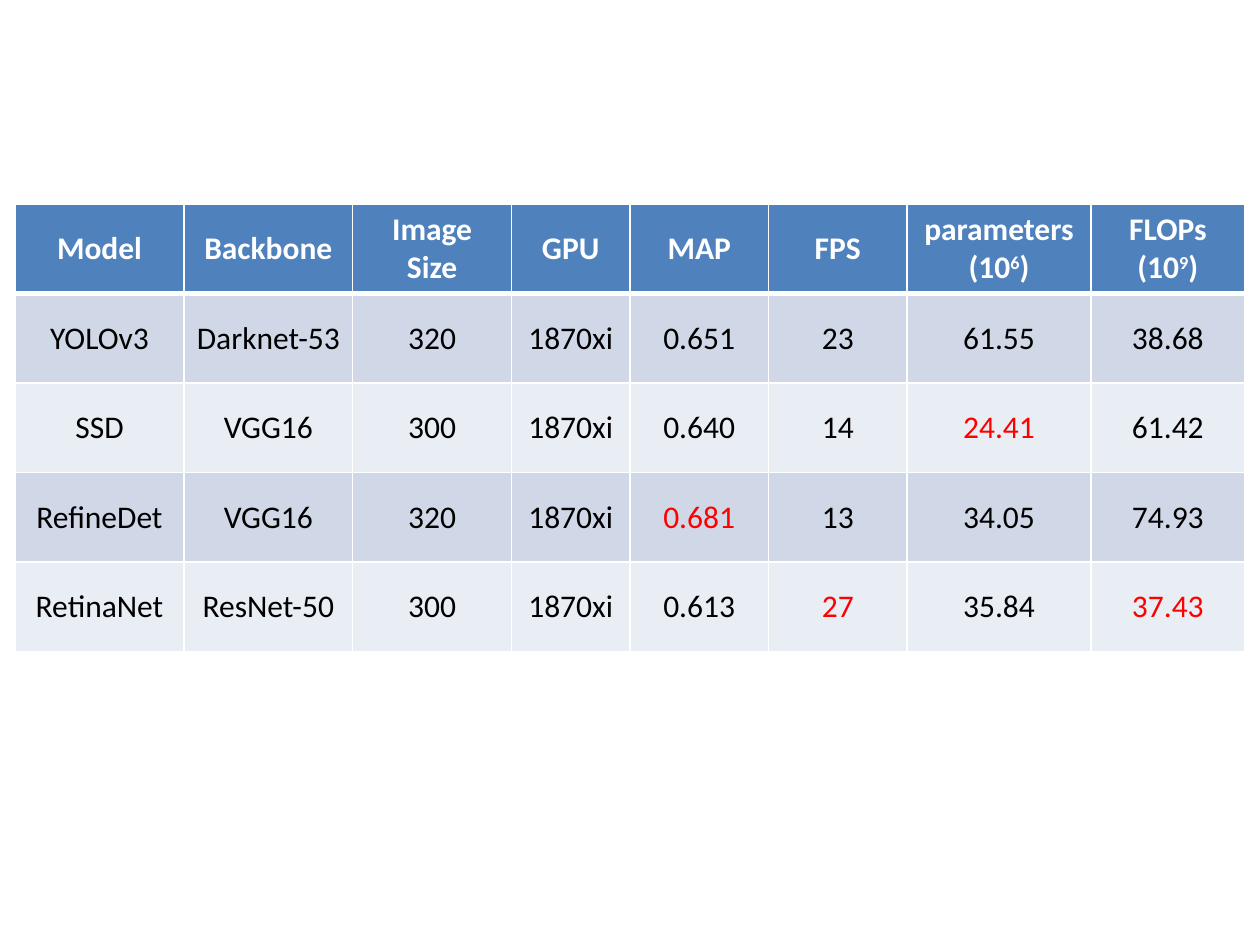
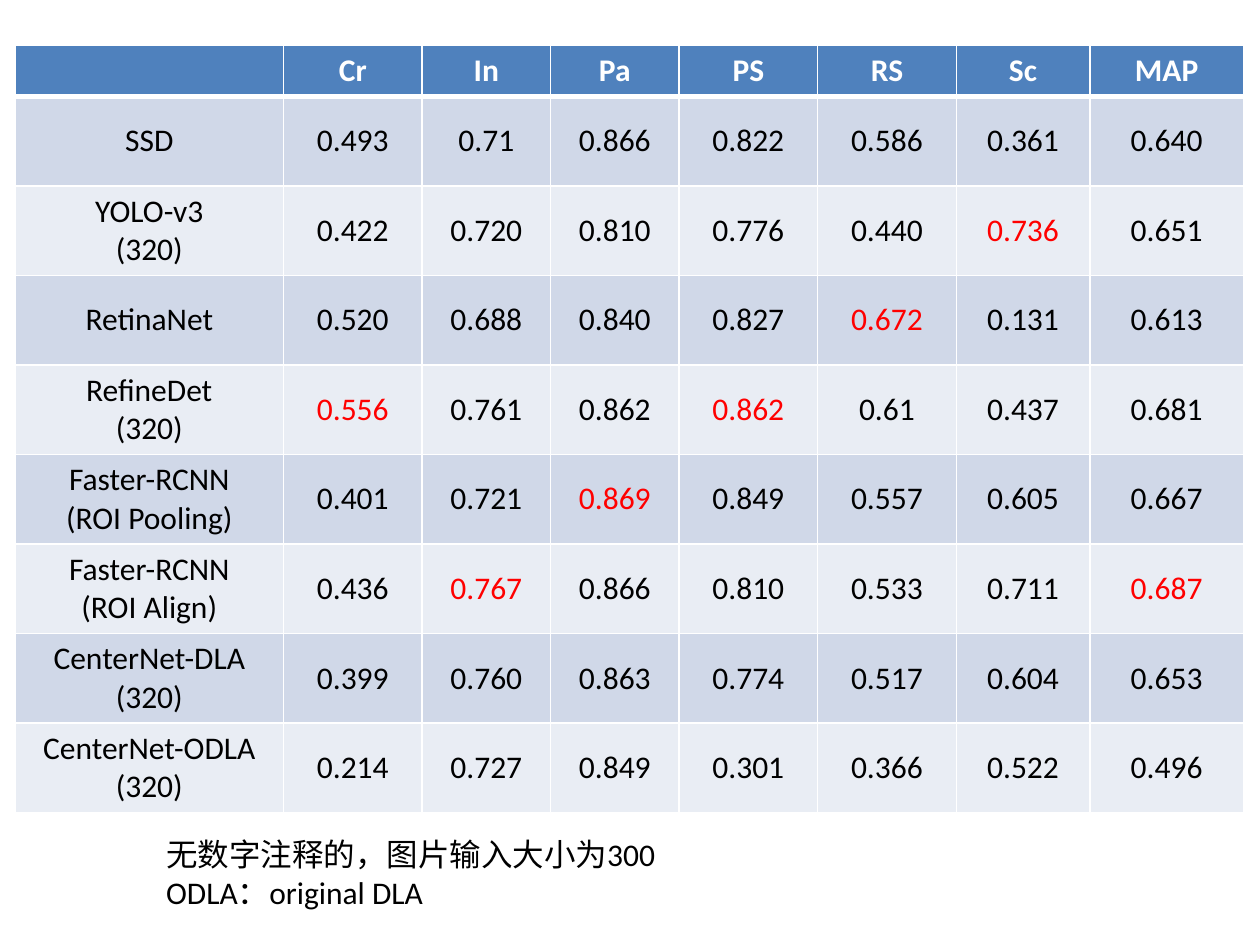
from dataclasses import dataclass

from lxml import etree
from pptx import Presentation
from pptx.dml.color import RGBColor
from pptx.enum.text import MSO_ANCHOR, PP_ALIGN
from pptx.oxml.ns import qn
from pptx.util import Inches, Pt

CENTER = PP_ALIGN.CENTER
MIDDLE = MSO_ANCHOR.MIDDLE


@dataclass(frozen=True)
class Theme:
    """Colours, type and measures shared by the slides."""
    font: str = "Calibri"
    size: float = 18
    text: str = "000000"
    header_text: str = "FFFFFF"
    best_text: str = "FF0000"
    header_fill: str = "4F81BD"
    band_fills: tuple = ("D0D8E8", "E9EDF4")
    border: str = "FFFFFF"
    thin: float = 1
    thick: float = 3
    table_left: float = 0.12
    row_height: float = 0.71
    header_inset: float = 0.11
    inset: float = 0.05


class Deck:
    """Draws styled elements on the current slide."""

    def __init__(self, theme):
        self.theme = theme
        self.presentation = Presentation()
        self.presentation.slide_width = Inches(10)
        self.presentation.slide_height = Inches(7.5)
        self.slide = None

    def add_slide(self):
        """Start a blank slide."""
        self.slide = self.presentation.slides.add_slide(self.presentation.slide_layouts[6])

    def format_run(self, run, color, bold=False):
        """Apply the shared type style to a run."""
        run.font.name = self.theme.font
        run.font.size = Pt(self.theme.size)
        run.font.bold = bold
        run.font.color.rgb = RGBColor.from_string(color)

    def add_borders(self, cell, top, bottom):
        """Draw the four borders of a cell."""
        thin = self.theme.thin
        properties = cell._tc.get_or_add_tcPr()
        for side, width in (("L", thin), ("R", thin), ("T", top), ("B", bottom)):
            line = etree.SubElement(properties, qn(f"a:ln{side}"), w=str(Pt(width)))
            fill = etree.SubElement(line, qn("a:solidFill"))
            etree.SubElement(fill, qn("a:srgbClr"), val=self.theme.border)

    def fill_cell(self, cell, text, row, best):
        """Write and style a cell; text between carets is superscript."""
        theme = self.theme
        header = row == 0
        self.add_borders(cell, theme.thick if row == 1 else theme.thin,
                         theme.thick if header else theme.thin)
        cell.fill.solid()
        cell.fill.fore_color.rgb = RGBColor.from_string(
            theme.header_fill if header else theme.band_fills[(row - 1) % 2])
        cell.vertical_anchor = MIDDLE
        cell.margin_left = cell.margin_right = Inches(theme.header_inset if header else theme.inset)
        cell.margin_top = cell.margin_bottom = Inches(theme.inset)
        color = theme.header_text if header else theme.best_text if best else theme.text
        for index, line in enumerate(text.split("\n")):
            paragraph = cell.text_frame.add_paragraph() if index else cell.text_frame.paragraphs[0]
            paragraph.alignment = CENTER
            for part, piece in enumerate(line.split("^")):
                if piece:
                    run = paragraph.add_run()
                    run.text = piece
                    self.format_run(run, color, header)
                    if part % 2:
                        run.font._element.set("baseline", "30000")

    def add_table(self, top, header_height, widths, rows, best_rules):
        """Add a banded table and mark the best value of each ruled column."""
        theme = self.theme
        heights = [header_height] + [theme.row_height] * (len(rows) - 1)
        table = self.slide.shapes.add_table(
            len(rows), len(widths), Inches(theme.table_left), Inches(top),
            Inches(sum(widths)), Inches(sum(heights))).table
        table.horz_banding = False
        for column, width in zip(table.columns, widths):
            column.width = Inches(width)
        for table_row, height in zip(table.rows, heights):
            table_row.height = Inches(height)
        best_values = {column: rule((row[column] for row in rows[1:]), key=float)
                       for column, rule in best_rules.items()}
        for row, values in enumerate(rows):
            for column, value in enumerate(values):
                self.fill_cell(table.cell(row, column), value, row,
                               value == best_values.get(column))

    def add_note(self, left, top, width, height, text):
        """Add a left-aligned text box."""
        frame = self.slide.shapes.add_textbox(
            Inches(left), Inches(top), Inches(width), Inches(height)).text_frame
        frame.word_wrap = True
        frame.text = text
        for paragraph in frame.paragraphs:
            for run in paragraph.runs:
                self.format_run(run, self.theme.text)


MODEL_WIDTHS = [1.34, 1.34, 1.26, 0.94, 1.1, 1.1, 1.46, 1.22]
MODEL_ROWS = [
    ["Model", "Backbone", "Image Size", "GPU", "MAP", "FPS",
     "parameters (10^6^)", "FLOPs (10^9^)"],
    ["YOLOv3", "Darknet-53", "320", "1870xi", "0.651", "23", "61.55", "38.68"],
    ["SSD", "VGG16", "300", "1870xi", "0.640", "14", "24.41", "61.42"],
    ["RefineDet", "VGG16", "320", "1870xi", "0.681", "13", "34.05", "74.93"],
    ["RetinaNet", "ResNet-50", "300", "1870xi", "0.613", "27", "35.84", "37.43"],
]

DEFECT_WIDTHS = [2.13, 1.1, 1.02, 1.02, 1.1, 1.1, 1.06, 1.22]
DEFECT_ROWS = [
    ["", "Cr", "In", "Pa", "PS", "RS", "Sc", "MAP"],
    ["SSD", "0.493", "0.71", "0.866", "0.822", "0.586", "0.361", "0.640"],
    ["YOLO-v3\n(320)", "0.422", "0.720", "0.810", "0.776", "0.440", "0.736", "0.651"],
    ["RetinaNet", "0.520", "0.688", "0.840", "0.827", "0.672", "0.131", "0.613"],
    ["RefineDet\n(320)", "0.556", "0.761", "0.862", "0.862", "0.61", "0.437", "0.681"],
    ["Faster-RCNN\n(ROI Pooling)", "0.401", "0.721", "0.869", "0.849", "0.557", "0.605", "0.667"],
    ["Faster-RCNN\n(ROI Align)", "0.436", "0.767", "0.866", "0.810", "0.533", "0.711", "0.687"],
    ["CenterNet-DLA\n(320)", "0.399", "0.760", "0.863", "0.774", "0.517", "0.604", "0.653"],
    ["CenterNet-ODLA\n(320)", "0.214", "0.727", "0.849", "0.301", "0.366", "0.522", "0.496"],
]


def main():
    """Build both slides and save the deck."""
    deck = Deck(Theme())
    deck.add_slide()
    deck.add_table(1.62, deck.theme.row_height, MODEL_WIDTHS, MODEL_ROWS,
                   {4: max, 5: max, 6: min, 7: min})
    deck.add_slide()
    deck.add_table(0.36, 0.4, DEFECT_WIDTHS, DEFECT_ROWS,
                   {column: max for column in range(1, len(DEFECT_WIDTHS))})
    deck.add_note(1.22, 6.58, 5.59, 0.71,
                  "无数字注释的，图片输入大小为300\nODLA：original DLA")
    deck.presentation.save("out.pptx")


if __name__ == "__main__":
    main()
